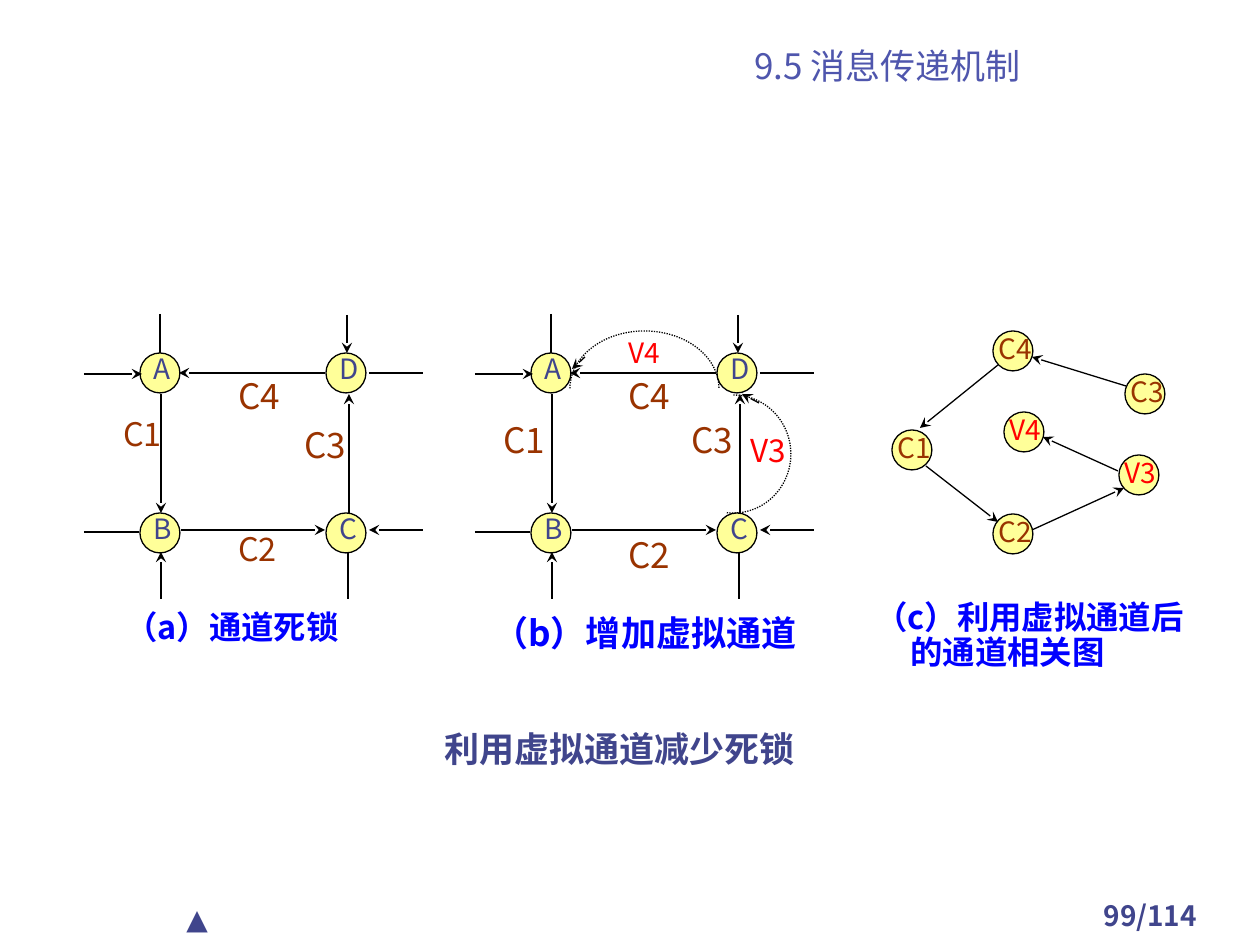
"""Builds the slide on reducing deadlock with virtual channels."""
from lxml import etree
from pptx import Presentation, util as u
from pptx.dml.color import RGBColor
from pptx.enum import dml, shapes, text
from pptx.oxml.ns import qn

SCALE = 914400 // 126
FONT = "Noto Sans CJK SC"
INK, TITLE, BROWN, RED, BLUE = "40458C", "4F56AD", "993300", "FF0000", "0000FF"
BLACK, YELLOW = "000000", "FFFF99"
NODE = 40
LEFT, JUSTIFY, CENTER = text.PP_ALIGN.LEFT, text.PP_ALIGN.JUSTIFY, text.PP_ALIGN.CENTER


def px(value):
    return u.Emu(round(value * SCALE))


def color(value):
    return RGBColor.from_string(value)


class Board:
    """Draws styled elements on the current slide."""

    def __init__(self, slide):
        self.slide = slide

    def outline(self, line):
        line.color.rgb = color(BLACK)
        line.width = u.Pt(0.74)

    def text(self, words, left, top, width, height, size, fill, bold=False,
             align=JUSTIFY, spacing=1.0, before=0, indents=(), font=FONT):
        box = self.slide.shapes.add_textbox(px(left), px(top), px(width), px(height))
        frame = box.text_frame
        frame.word_wrap = True
        frame.text = words
        for paragraph in frame.paragraphs:
            paragraph.alignment = align
            paragraph.line_spacing = spacing
            paragraph.space_before = u.Pt(before)
            for run in paragraph.runs:
                run.font.size = u.Pt(size)
                run.font.bold = bold
                run.font.color.rgb = color(fill)
                run.font.name = font
                east_asian = etree.SubElement(run.font._element, qn("a:ea"))
                east_asian.set("typeface", font)
        for paragraph, indent in zip(frame.paragraphs, indents):
            paragraph._p.get_or_add_pPr().set("marL", str(px(indent)))
        return frame

    def node(self, label, left, top, fill, dx, dy):
        circle = self.slide.shapes.add_shape(
            shapes.MSO_SHAPE.OVAL, px(left), px(top), px(NODE), px(NODE))
        circle.shadow.inherit = False
        circle.fill.solid()
        circle.fill.fore_color.rgb = color(YELLOW)
        self.outline(circle.line)
        self.text(label, left + dx, top + dy, 69, 59, 16, fill)

    def arc(self, left, top, width, height, start, end):
        shape = self.slide.shapes.add_shape(
            shapes.MSO_SHAPE.ARC, px(left), px(top), px(width), px(height))
        shape.shadow.inherit = False
        shape.adjustments[0], shape.adjustments[1] = start * 0.6, end * 0.6
        shape.fill.background()
        self.outline(shape.line)
        shape.line.dash_style = dml.MSO_LINE.ROUND_DOT

    def line(self, x1, y1, x2, y2, arrow=True):
        connector = self.slide.shapes.add_connector(
            shapes.MSO_CONNECTOR.STRAIGHT, px(x1), px(y1), px(x2), px(y2))
        self.outline(connector.line)
        if arrow:
            tail = etree.SubElement(connector.line._get_or_add_ln(), qn("a:tailEnd"))
            tail.set("type", "stealth")
        etree.SubElement(connector._element.spPr, qn("a:effectLst"))


presentation = Presentation()
presentation.slide_width, presentation.slide_height = px(1260), px(945)
slide = presentation.slides.add_slide(presentation.slide_layouts[6])
board = Board(slide)

title = board.text("9.5 消息传递机制", 536, 34, 703, 53, 20, TITLE, align=CENTER)
title.margin_left = title.margin_right = title.margin_top = title.margin_bottom = 0
title.vertical_anchor = text.MSO_ANCHOR.BOTTOM

board.arc(570, 331, 149, 115, 180, 0)
board.arc(676, 395, 115, 118, 270, 97)

mesh_nodes = [("A", 140, 353), ("D", 326, 353), ("B", 140, 513), ("C", 326, 513)]
mesh_arrows = [
    (84, 374, 142, 374), (325, 373, 179, 373), (161, 394, 161, 513),
    (161, 599, 161, 552), (347, 315, 347, 353), (349, 513, 349, 394),
    (181, 530, 325, 530), (423, 530, 369, 530),
]
mesh_stubs = [(160, 314, 160, 353), (84, 532, 139, 532),
              (348, 599, 348, 553), (369, 373, 423, 373)]
for shift in (0, 391):
    for label, left, top in mesh_nodes:
        board.node(label, left + shift, top, INK, 1, -8)
    for lines, arrow in ((mesh_arrows, True), (mesh_stubs, False)):
        for x1, y1, x2, y2 in lines:
            board.line(x1 + shift, y1, x2 + shift, y2, arrow)

channel_labels = [
    ("C1", 111, 412, 18.5, BROWN, 0.9), ("C2", 226, 527, 18.5, BROWN, 0.9),
    ("C4", 226, 368, 20, BROWN, 1), ("C3", 292, 417, 20, BROWN, 1),
    ("C1", 491, 412, 20, BROWN, 1), ("C2", 616, 527, 20, BROWN, 1),
    ("C4", 616, 368, 20, BROWN, 1), ("C3", 679, 412, 20, BROWN, 1),
    ("V4", 616, 329, 16, RED, 1), ("V3", 738, 425, 18, RED, 1),
]
for label, left, top, size, fill, spacing in channel_labels:
    board.text(label, left, top, 74, 55, size, fill, spacing=spacing)

board.line(585, 357, 572, 369)
board.line(759, 403, 742, 394)

dependency_nodes = [
    ("C4", 993, 331, BROWN), ("C2", 993, 514, BROWN), ("V4", 1004, 412, RED),
    ("C1", 892, 430, BROWN), ("C3", 1125, 374, BROWN), ("V3", 1119, 455, RED),
]
for label, left, top, fill in dependency_nodes:
    board.node(label, left, top, fill, -7, -6)
dependency_arrows = [
    (998, 365, 920, 428), (926, 466, 998, 522), (1032, 530, 1124, 488),
    (1118, 471, 1043, 437), (1126, 386, 1032, 357),
]
for arrow in dependency_arrows:
    board.line(*arrow)

board.text("（a）通道死锁", 113, 605, 270, 57, 18.5, BLUE, True, spacing=0.9)
board.text("（b）增加虚拟通道", 481, 605, 369, 57, 20, BLUE, True)
board.text("（c）利用虚拟通道后\n的通道相关图", 863, 595, 363, 107, 18.5, BLUE, True,
           spacing=0.9, indents=(0, 35))
board.text("利用虚拟通道减少死锁", 432, 721, 466, 55, 20, INK, True, LEFT, before=12.5)
board.text("99/114", 1061, 892, 179, 42, 16, INK, True, CENTER)
board.text("▲", 174, 895, 179, 47, 16, INK, align=LEFT, before=10, font="Karla")

presentation.save("out.pptx")
